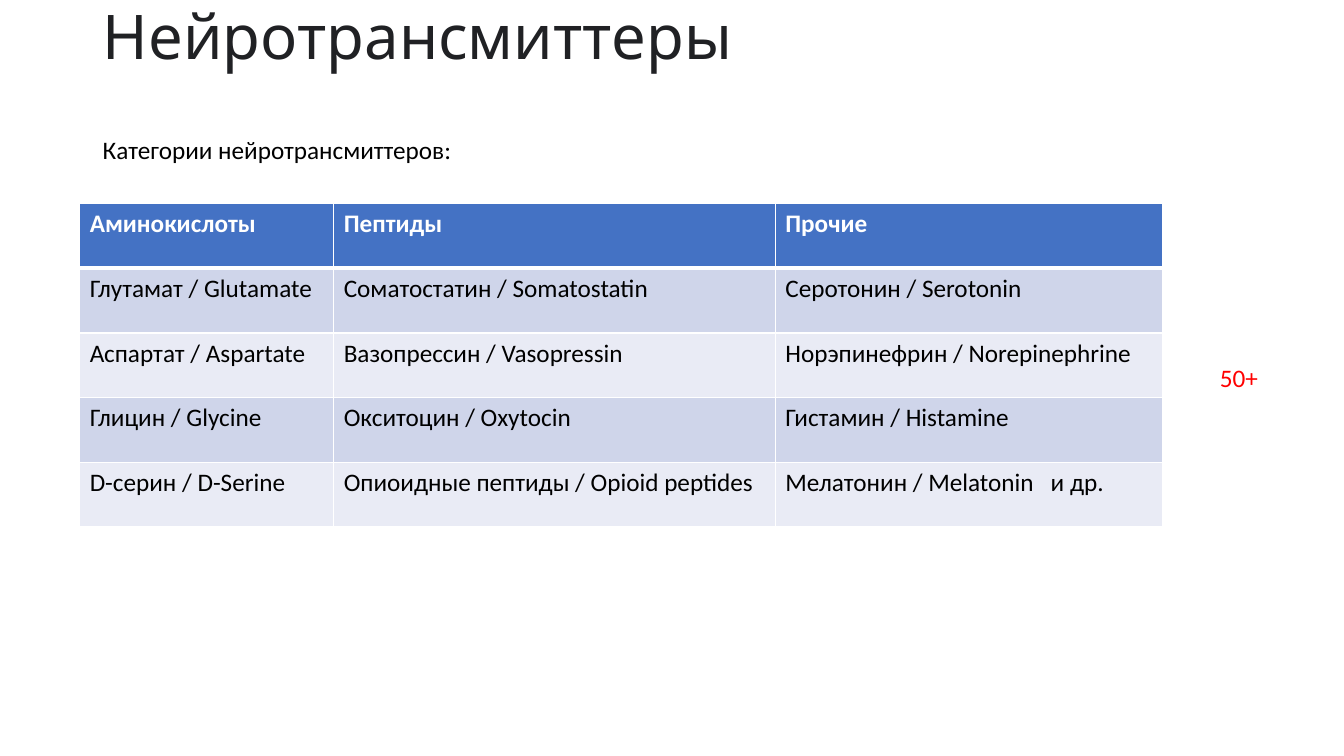
from lxml import etree
from pptx import Presentation
from pptx.dml.color import RGBColor
from pptx.enum.text import MSO_ANCHOR
from pptx.oxml.ns import qn
from pptx.util import Inches, Pt

MIDDLE, TOP = MSO_ANCHOR.MIDDLE, MSO_ANCHOR.TOP
WIDE, HIGH = 13.33, 7.5
BODY = "Calibri"
WHITE, BLACK = "FFFFFF", "000000"
HEAD, BANDS = "4472C4", ("CFD5EA", "E9EBF5")

# Content: text, box (left, top, width, height), font, size, colour, anchor, line spacing
TEXTS = [
    ("Нейротрансмиттеры", (0.92, 0.06, 10.06, 0.67), "Karla", 44, "202124", MIDDLE, 0.9),
    ("Категории нейротрансмиттеров:", (0.92, 1.28, 6.81, 0.71), BODY, 18, BLACK, TOP, 1),
    ("50+", (12, 3.55, 0.73, 0.4), BODY, 18, "FF0000", TOP, 1),
]
ROWS = [
    ("Аминокислоты", "Пептиды", "Прочие"),
    ("Глутамат / Glutamate", "Соматостатин / Somatostatin", "Серотонин / Serotonin"),
    ("Аспартат / Aspartate", "Вазопрессин / Vasopressin", "Норэпинефрин / Norepinephrine"),
    ("Глицин / Glycine", "Окситоцин / Oxytocin", "Гистамин / Histamine"),
    ("D-серин / D-Serine", "Опиоидные пептиды / Opioid peptides", "Мелатонин / Melatonin   и др."),
]
COLS = (2.52, 4.38, 3.84)
LEFT, UP, TALL = 0.79, 2.02, 3.21


def rgb(code):
    return RGBColor.from_string(code)


def style(para, font, size, color, bold=False):
    para.font.name, para.font.size, para.font.bold = font, Pt(size), bold
    para.font.color.rgb = rgb(color)


def border(cell, side, width):
    line = etree.SubElement(cell._tc.get_or_add_tcPr(), qn("a:" + side), w=str(Pt(width)))
    fill = etree.SubElement(line, qn("a:solidFill"))
    etree.SubElement(fill, qn("a:srgbClr"), val=WHITE)


deck = Presentation()
deck.slide_width, deck.slide_height = Inches(WIDE), Inches(HIGH)
slide = deck.slides.add_slide(deck.slide_layouts[6])

# Title, subtitle and side note
for text, box, font, size, color, anchor, space in TEXTS:
    frame = slide.shapes.add_textbox(*map(Inches, box)).text_frame
    frame.word_wrap, frame.vertical_anchor = True, anchor
    para = frame.paragraphs[0]
    para.text, para.line_spacing = text, space
    style(para, font, size, color)

# Table of categories
table = slide.shapes.add_table(
    len(ROWS), len(COLS), Inches(LEFT), Inches(UP), Inches(sum(COLS)), Inches(TALL)
).table
for col, width in zip(table.columns, COLS):
    col.width = Inches(width)
for r, row in enumerate(ROWS):
    top = r == 0
    for c, text in enumerate(row):
        cell = table.cell(r, c)
        for side in ("lnL", "lnR", "lnT", "lnB"):
            thick = (top and side == "lnB") or (r == 1 and side == "lnT")
            border(cell, side, 3 if thick else 1)
        cell.fill.solid()
        cell.fill.fore_color.rgb = rgb(HEAD if top else BANDS[(r - 1) % 2])
        cell.text = text
        style(cell.text_frame.paragraphs[0], BODY, 18, WHITE if top else BLACK, top)

deck.save("out.pptx")
